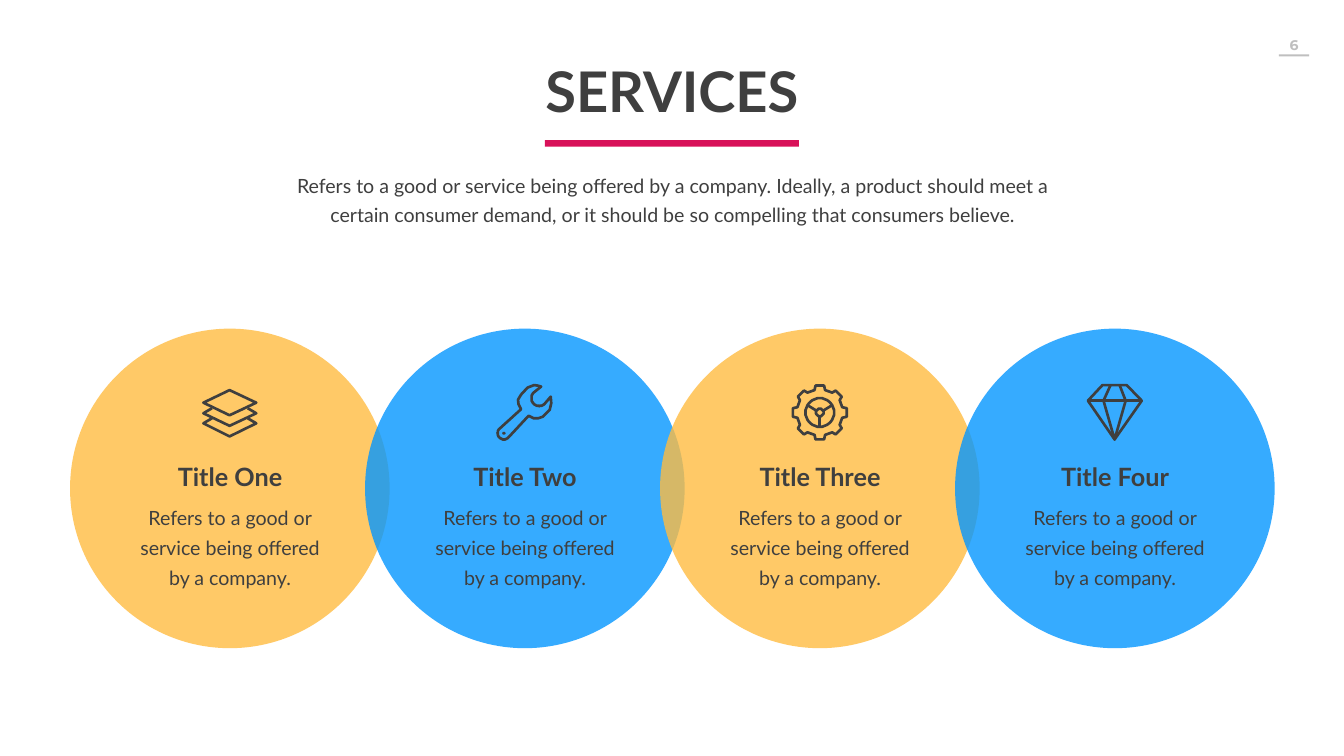
from collections import namedtuple
from math import cos, radians, sin

from lxml import etree
from pptx import Presentation
from pptx.dml.color import RGBColor
from pptx.enum.shapes import MSO_SHAPE
from pptx.enum.text import MSO_ANCHOR, MSO_AUTO_SIZE, PP_ALIGN
from pptx.oxml.ns import qn
from pptx.util import Inches, Pt

RECTANGLE, OVAL = MSO_SHAPE.RECTANGLE, MSO_SHAPE.OVAL
CENTER, TOP, NO_FIT = PP_ALIGN.CENTER, MSO_ANCHOR.TOP, MSO_AUTO_SIZE.NONE

DARK, GREY, PINK, YELLOW, BLUE = "3F3F3F", "BFBFBF", "D81159", "FFBC42", "0496FF"
SERVICE_TEXT = "Refers to a good or service being offered by a company."
INTRO = ("Refers to a good or service being offered by a company. Ideally, a product "
         "should meet a certain consumer demand, or it should be so compelling that "
         "consumers believe.")

Box = namedtuple("Box", "left top width height")


def color(value):
    return RGBColor.from_string(value)


def part(box, left, top, width, height):
    """Box inside another box, in percent of its size."""
    return Box(int(box.left + box.width * left / 100), int(box.top + box.height * top / 100),
               int(box.width * width / 100), int(box.height * height / 100))


def write(shape, text, size, insets=(0.1, 0.05), spacing=None, **font_values):
    frame = shape.text_frame
    across, down = (Inches(inset) for inset in insets)
    frame_values = {"word_wrap": True, "auto_size": NO_FIT, "vertical_anchor": TOP,
                    "margin_left": across, "margin_right": across,
                    "margin_top": down, "margin_bottom": down}
    for name, value in frame_values.items():
        setattr(frame, name, value)
    frame.text = text
    paragraph = frame.paragraphs[0]
    paragraph.alignment = CENTER
    if spacing:
        paragraph.line_spacing = Pt(spacing)
    font = paragraph.runs[0].font
    font.color.rgb = color(font_values.pop("fill", DARK))
    for name, value in {"name": "Lato", "size": Pt(size), **font_values}.items():
        setattr(font, name, value)


def add_text(slide, box, *content, **values):
    write(slide.shapes.add_textbox(*box), *content, **values)


def add_filled(slide, kind, box, fill, opacity=100):
    shape = slide.shapes.add_shape(kind, *box)
    shape.shadow.inherit = False
    shape.fill.solid()
    shape.fill.fore_color.rgb = color(fill)
    shape.line.fill.background()
    if opacity < 100:
        tone = shape.fill._xPr.find(qn("a:solidFill"))[0]
        etree.SubElement(tone, qn("a:alpha"), val=str(opacity * 1000))


# Icon strokes, in hundredths of an inch inside a 113 x 113 square
def polar(x, y, radius, angle):
    return x + radius * cos(radians(angle)), y + radius * sin(radians(angle))


def arc(x, y, radius, start=0, end=360, steps=36):
    return [polar(x, y, radius, start + (end - start) * i / steps) for i in range(steps + 1)]


def layers_icon():
    top = [(4, 37), (56.5, 11.5), (109, 37), (56.5, 62.5), (4, 37)]
    lower = [[(21, y), (4, y + 9.5), (56.5, y + 35), (109, y + 9.5), (92, y)]
             for y in (48, 68.5)]
    return [top] + lower


def wrench_icon():
    outline = ([(89, 5)] + arc(85, 28, 15.5, 225, 45)
               + [(107.5, 25), (109, 38), (106, 51), (91.5, 65), (83, 68.5), (74, 67.5), (63.5, 63)]
               + arc(15, 97.5, 12.5, 45, 225)
               + [(49, 49.5), (43.5, 40), (43, 31), (49, 21), (62.5, 7), (75, 2.5), (82, 3), (89, 5)])
    return [outline, arc(15, 97.5, 0.5)]


def gear_icon():
    x = y = 56.5
    tooth = ((-13, 46), (-9, 54), (9, 54), (13, 46))
    rim = [polar(x, y, radius, turn + offset)
           for turn in range(0, 360, 45) for offset, radius in tooth]
    spokes = [[polar(x, y, 7.5, angle), polar(x, y, 28.5, angle)] for angle in (90, 210, 330)]
    return [rim + rim[:1], arc(x, y, 28.5), arc(x, y, 7.5)] + spokes


def diamond_icon():
    outline = [(32.5, 2.5), (80.5, 2.5), (110, 33), (56.5, 110), (3, 33), (32.5, 2.5)]
    facets = [(47.5, 2.5), (34.5, 33), (56.5, 110), (78.5, 33), (65.5, 2.5)]
    return [outline, [(3, 33), (110, 33)], facets]


def add_icon(slide, box, strokes):
    unit = box.width / 113
    builder = slide.shapes.build_freeform(*strokes[0][0], scale=1 / unit if unit < 1 else unit)
    for index, stroke in enumerate(strokes):
        if index:
            builder.move_to(*stroke[0])
        closed = stroke[0] == stroke[-1]
        builder.add_line_segments(stroke[1:], close=closed)
    shape = builder.convert_to_shape(box.left, box.top)
    shape.shadow.inherit = False
    shape.fill.background()
    shape.line.color.rgb = color(DARK)
    shape.line.width = Pt(3.8)
    etree.SubElement(shape.line._get_or_add_ln(), qn("a:round"))


# Regions of the slide
def add_page_number(slide, page):
    add_text(slide, part(page, 93.29, 4.13, 6, 3.6), "6", 20, insets=(0.2, 0.1),
             name="Montserrat", bold=True, fill=GREY)
    add_filled(slide, RECTANGLE, part(page, 95.16, 7.2, 2.25, 0.27), GREY)


def add_heading(slide, page):
    title = slide.shapes.title
    box = part(page, 37.47, 7.2, 25.06, 9.6)
    for name, value in box._asdict().items():
        setattr(title, name, value)
    write(title, "SERVICES", 80, bold=True)
    add_filled(slide, RECTANGLE, part(page, 40.55, 18.53, 18.9, 0.87), PINK)
    add_text(slide, part(page, 21.38, 22.07, 57.31, 8.2), INTRO, 28, spacing=40.7)


def add_service(slide, box, heading, strokes):
    add_icon(slide, part(box, 41.1, 17.35, 17.8, 17.8), strokes)
    add_text(slide, part(box, 15.6, 40.69, 68.9, 11), heading, 36, bold=True)
    add_text(slide, part(box, 15.6, 51.42, 68.9, 32), SERVICE_TEXT, 28,
             insets=(0.24, 0.12), spacing=43)


def add_services(slide, page):
    services = [("Title One", YELLOW, layers_icon()), ("Title Two", BLUE, wrench_icon()),
                ("Title Three", YELLOW, gear_icon()), ("Title Four", BLUE, diamond_icon())]
    boxes = [part(page, 5.21 + 21.95 * column, 43.47, 23.78, 42.27)
             for column in range(len(services))]
    # All circles lie behind the texts, so that the overlaps stay clear
    for box, (_, fill, _) in zip(boxes, services):
        add_filled(slide, OVAL, box, fill, opacity=80)
    for box, (heading, _, strokes) in zip(boxes, services):
        add_service(slide, box, heading, strokes)


def main():
    presentation = Presentation()
    presentation.slide_width, presentation.slide_height = Inches(26.66), Inches(15)
    slide = presentation.slides.add_slide(presentation.slide_layouts[5])
    page = Box(0, 0, presentation.slide_width, presentation.slide_height)
    add_page_number(slide, page)
    add_heading(slide, page)
    add_services(slide, page)
    presentation.save("out.pptx")


if __name__ == "__main__":
    main()
